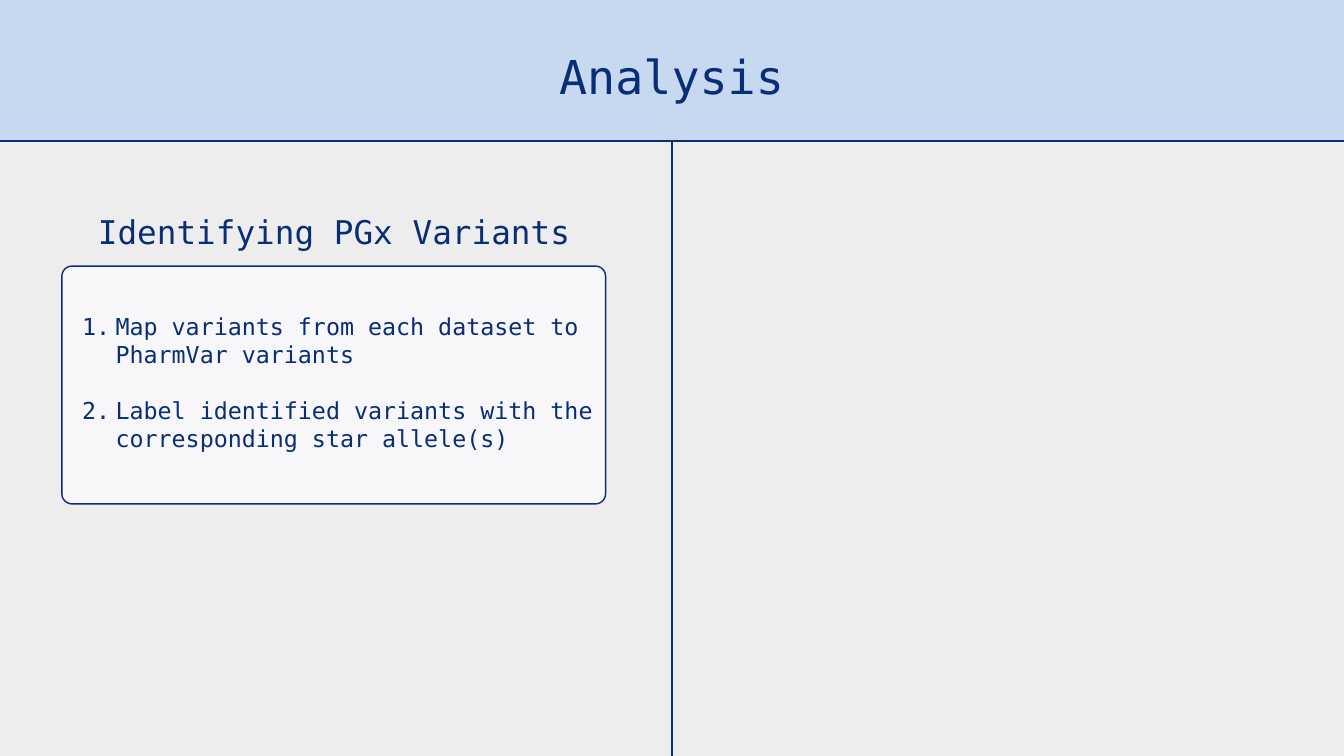
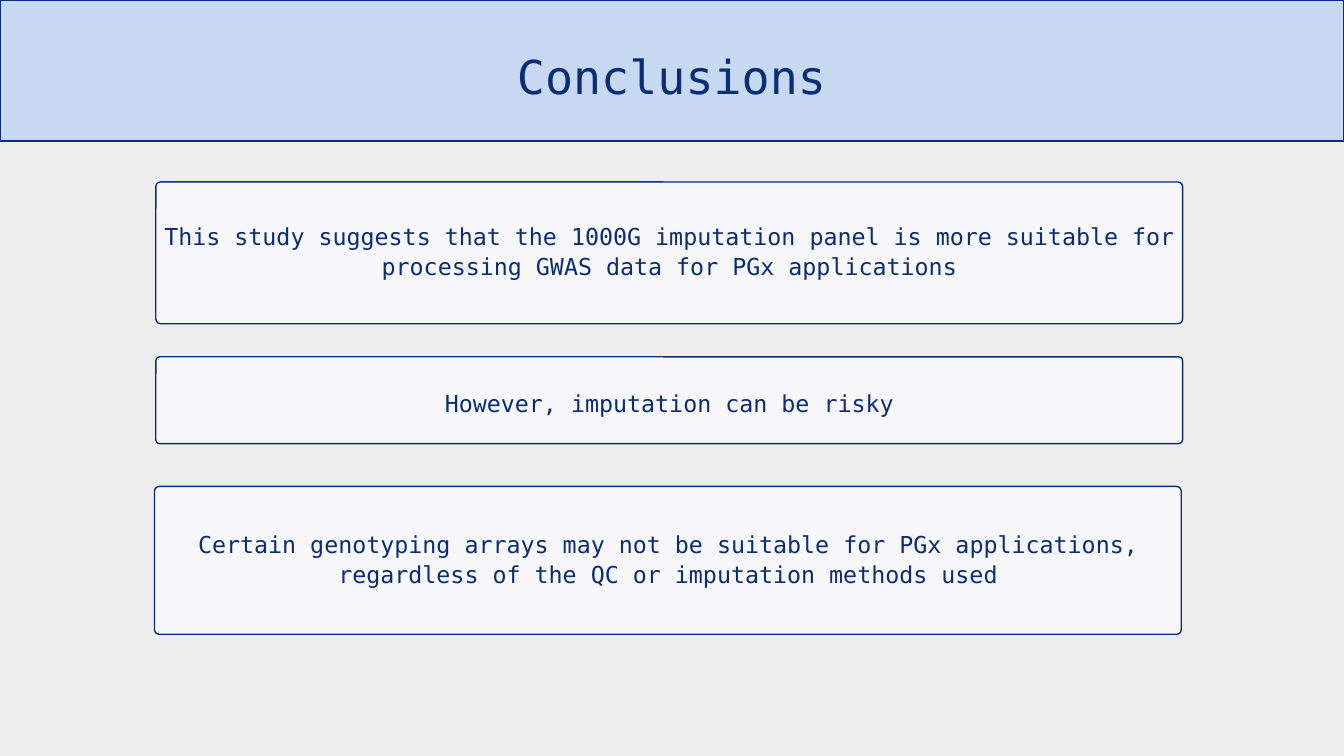
from dataclasses import dataclass

from lxml import etree
from pptx import Presentation
from pptx.dml.color import RGBColor
from pptx.enum.shapes import MSO_SHAPE as Shape
from pptx.enum.text import MSO_ANCHOR as Anchor, MSO_AUTO_SIZE as AutoSize, PP_ALIGN as Align
from pptx.oxml.ns import qn
from pptx.util import Cm, Pt

NAVY = RGBColor(0x0A, 0x2E, 0x76)
SKY = RGBColor(0xC6, 0xD9, 0xF1)
GREY = RGBColor(0xED, 0xED, 0xED)
PALE = RGBColor(0xF7, 0xF6, 0xF8)
FONT = "DejaVu Sans Mono"

WIDTH, HEIGHT = 50.8, 28.58
BAND_BOTTOM = 5.33
PAD = 0.15
CORNER_INSET = 0.29  # share of the corner radius that a rounded shape keeps clear of text


@dataclass(frozen=True)
class Box:
    left: float
    top: float
    width: float
    height: float

    def lengths(self):
        return Cm(self.left), Cm(self.top), Cm(self.width), Cm(self.height)


@dataclass(frozen=True)
class Card:
    box: Box
    texts: tuple[str, ...]
    radius: float = 0.18
    lift: float = 0.1
    numbered: bool = False


TITLE = Box(5.46, 1.65, 39.85, 2.31)
SUBTITLE = Box(1.9, 7.67, 21.46, 1.85)
PANELS = (Box(-0.56, 4.65, 26.37, 24.41), Box(WIDTH / 2, 4.65, 25.76, 24.41))
BLEED_BAND = Box(-0.56, -0.43, 51.71, BAND_BOTTOM + 0.43)
FULL_BAND = Box(0, 0, WIDTH, BAND_BOTTOM)

STEPS = Card(
    Box(2.34, 10.06, 20.55, 8.99),
    ("Map variants from each dataset to PharmVar variants",
     "Label identified variants with the corresponding star allele(s)"),
    radius=0.38, numbered=True)

CONCLUSIONS = (
    Card(Box(5.89, 6.88, 38.81, 5.36),
         ("This study suggests that the 1000G imputation panel is more suitable "
          "for processing GWAS data for PGx applications",)),
    Card(Box(5.89, 13.49, 38.81, 3.28), ("However, imputation can be risky",),
         radius=0.15, lift=-0.08),
    Card(Box(5.84, 18.39, 38.81, 5.59),
         ("Certain genotyping arrays may not be suitable for PGx applications, "
          "regardless of the QC or imputation methods used",)),
)


def style_runs(p, size: float) -> None:
    for r in p.runs:
        r.font.name = FONT
        r.font.size = Pt(size)
        r.font.color.rgb = NAVY


def add_filled(s, kind, box: Box, fill: RGBColor):
    sp = s.shapes.add_shape(kind, *box.lengths())
    sp.shadow.inherit = False
    sp.fill.solid()
    sp.fill.fore_color.rgb = fill
    sp.line.color.rgb = NAVY
    sp.line.width = Pt(1.5)
    return sp


def set_heading(tf, text: str, size: float, spacing: float) -> None:
    tf.text = text
    tf.word_wrap = True
    tf.auto_size = AutoSize.NONE
    tf.vertical_anchor = Anchor.TOP
    tf.margin_left = tf.margin_top = tf.margin_right = tf.margin_bottom = 0
    p = tf.paragraphs[0]
    p.alignment = Align.CENTER
    p.line_spacing = Pt(spacing)
    style_runs(p, size)


def add_title_band(s, text: str, band: Box) -> None:
    add_filled(s, Shape.RECTANGLE, band, SKY)
    title = s.shapes.title
    title.left, title.top, title.width, title.height = TITLE.lengths()
    set_heading(title.text_frame, text, 50, 65)
    tree = title.element.getparent()
    tree.append(title.element)  # bring the title in front of its band


def number_paragraph(p) -> None:
    pPr = p._p.get_or_add_pPr()
    pPr.set("marL", str(Cm(1.88)))
    pPr.set("indent", str(Cm(-1.27)))
    etree.SubElement(pPr, qn("a:buFont"), typeface=FONT)
    etree.SubElement(pPr, qn("a:buAutoNum"), type="arabicPeriod")


def add_card(s, card: Card) -> None:
    sp = add_filled(s, Shape.ROUNDED_RECTANGLE, card.box, PALE)
    sp.adjustments[0] = card.radius / min(card.box.width, card.box.height)
    tf = sp.text_frame
    tf.word_wrap = True
    tf.vertical_anchor = Anchor.MIDDLE
    tf.margin_left = tf.margin_right = Cm(PAD - CORNER_INSET * card.radius)
    tf.margin_top, tf.margin_bottom = Cm(PAD - card.lift), Cm(PAD + card.lift)
    for i, text in enumerate(card.texts):
        p = tf.add_paragraph() if i else tf.paragraphs[0]
        p.text = text
        if card.numbered:
            p.alignment = Align.LEFT
            if i:
                p.space_before = Pt(29.5)
            number_paragraph(p)
        else:
            p.alignment = Align.CENTER
            p.line_spacing = Pt(32.5)
        style_runs(p, 25)


def add_analysis(prs) -> None:
    s = prs.slides.add_slide(prs.slide_layouts[5])
    for panel in PANELS:
        add_filled(s, Shape.RECTANGLE, panel, GREY)
    add_title_band(s, "Analysis", BLEED_BAND)
    subtitle = s.shapes.add_textbox(*SUBTITLE.lengths())
    set_heading(subtitle.text_frame, "Identifying PGx Variants", 35, 52)
    add_card(s, STEPS)


def add_conclusions(prs) -> None:
    s = prs.slides.add_slide(prs.slide_layouts[5])
    s.background.fill.solid()
    s.background.fill.fore_color.rgb = GREY
    add_title_band(s, "Conclusions", FULL_BAND)
    for card in CONCLUSIONS:
        add_card(s, card)


def main() -> None:
    prs = Presentation()
    prs.slide_width, prs.slide_height = Cm(WIDTH), Cm(HEIGHT)
    add_analysis(prs)
    add_conclusions(prs)
    prs.save("out.pptx")


if __name__ == "__main__":
    main()
